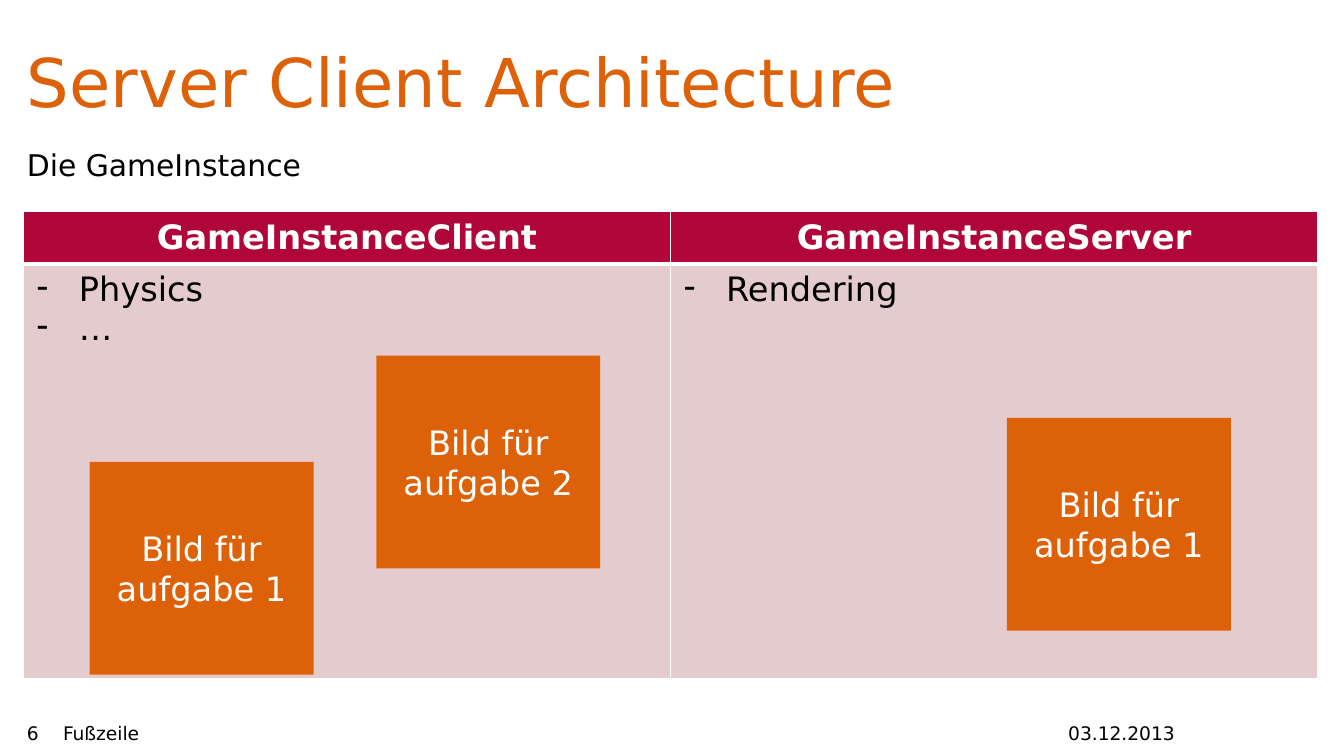
"""Build the Server Client Architecture slide."""
from lxml import etree
from pptx import Presentation
from pptx.dml.color import RGBColor
from pptx.enum.shapes import MSO_SHAPE
from pptx.enum.text import MSO_ANCHOR, MSO_AUTO_SIZE, PP_ALIGN
from pptx.oxml.ns import qn
from pptx.util import Pt

LEFT, CENTER, RIGHT = PP_ALIGN.LEFT, PP_ALIGN.CENTER, PP_ALIGN.RIGHT
TOP, MIDDLE = MSO_ANCHOR.TOP, MSO_ANCHOR.MIDDLE
RECT = MSO_SHAPE.RECTANGLE
NO_FIT = MSO_AUTO_SIZE.NONE

FONT = "DejaVu Sans"
ORANGE, RED, PINK = "DD6108", "B1063A", "E4CCCE"
BLACK, WHITE = "000000", "FFFFFF"
BODY_INSETS = (0, 3.6, 7.2, 3.6)
NO_INSETS = (0, 0, 0, 0)


def rgb(value):
    return RGBColor.from_string(value)


def add_bullet(p, char, indent):
    pPr = p._p.get_or_add_pPr()
    pPr.set("marL", str(Pt(indent)))
    pPr.set("indent", str(-Pt(indent)))
    etree.SubElement(pPr, qn("a:buChar"), char=char)


def write(tf, text, size=18, color=BLACK, bold=False, align=LEFT, bullet=None,
          line=None, after=None):
    for i, words in enumerate(text.split("\n")):
        p = tf.add_paragraph() if i else tf.paragraphs[0]
        p.alignment = align
        if line:
            p.line_spacing = Pt(line)
        if after:
            p.space_after = Pt(after)
        if bullet:
            add_bullet(p, bullet, 22.5)
        r = p.add_run()
        r.text = words
        r.font.name = FONT
        r.font.size = Pt(size)
        r.font.bold = bold
        r.font.color.rgb = rgb(color)


def set_borders(cell, bottom):
    tcPr = cell._tc.get_or_add_tcPr()
    for side, width in (("L", 1), ("R", 1), ("T", 1), ("B", bottom)):
        ln = etree.SubElement(tcPr, qn(f"a:ln{side}"), w=str(Pt(width)))
        fill = etree.SubElement(ln, qn("a:solidFill"))
        etree.SubElement(fill, qn("a:srgbClr"), val=WHITE)


class SlideBuilder:
    def __init__(self, prs):
        self.slide = prs.slides.add_slide(prs.slide_layouts[5])

    def frame(self, sp, insets):
        tf = sp.text_frame
        tf.word_wrap = True
        tf.auto_size = NO_FIT
        tf.vertical_anchor = TOP
        (tf.margin_left, tf.margin_top,
         tf.margin_right, tf.margin_bottom) = map(Pt, insets)
        return tf

    def title(self, text, x, y, w, h):
        sp = self.slide.shapes.title
        sp.left, sp.top, sp.width, sp.height = map(Pt, (x, y, w, h))
        write(self.frame(sp, BODY_INSETS), text, size=36, color=ORANGE)

    def text(self, text, x, y, w, h, insets=NO_INSETS, **style):
        sp = self.slide.shapes.add_textbox(Pt(x), Pt(y), Pt(w), Pt(h))
        write(self.frame(sp, insets), text, **style)

    def table(self, columns, x, y, w, heights):
        table = self.slide.shapes.add_table(
            len(heights), len(columns), Pt(x), Pt(y), Pt(w),
            Pt(sum(heights))).table
        for row, height in zip(table.rows, heights):
            row.height = Pt(height)
        for i, (heading, items) in enumerate(columns):
            table.columns[i].width = Pt(w / len(columns))
            self.cell(table.cell(0, i), heading, RED, 3,
                      color=WHITE, bold=True, align=CENTER)
            self.cell(table.cell(1, i), items, PINK, 1, bullet="-")

    def cell(self, cell, text, fill, bottom, **style):
        set_borders(cell, bottom)
        cell.fill.solid()
        cell.fill.fore_color.rgb = rgb(fill)
        write(cell.text_frame, text, **style)

    def box(self, text, x, y, w=120, h=114):
        sp = self.slide.shapes.add_shape(RECT, Pt(x), Pt(y), Pt(w), Pt(h))
        sp.shadow.inherit = False
        sp.fill.solid()
        sp.fill.fore_color.rgb = rgb(ORANGE)
        sp.line.fill.background()
        tf = sp.text_frame
        tf.word_wrap = True
        tf.vertical_anchor = MIDDLE
        write(tf, text, color=WHITE, align=CENTER)


def main():
    prs = Presentation()
    prs.slide_width, prs.slide_height = Pt(720), Pt(405)
    page = SlideBuilder(prs)
    page.title("Server Client Architecture", 14.4, 18, 615.6, 85)
    page.text("Die GameInstance", 14.4, 76.3, 615.6, 298.8, BODY_INSETS,
              size=16, line=18, after=6.5)

    page.text("03.12.2013", 569.5, 386.6, 59.8, 14.4, size=10, align=RIGHT)
    page.text("Fußzeile", 33.8, 386.6, 532.8, 14.4, size=10)
    page.text("6", 14.4, 386.6, 17.3, 14.4, size=10)

    columns = [("GameInstanceClient", "Physics\n…"),
               ("GameInstanceServer", "Rendering")]
    page.table(columns, 12.6, 113.3, 693.4, (26, 222.5))

    for number, x, y in ((1, 48, 247.5), (2, 201.6, 190.6), (1, 539.4, 223.9)):
        page.box(f"Bild für aufgabe {number}", x, y)
    prs.save("out.pptx")


if __name__ == "__main__":
    main()
